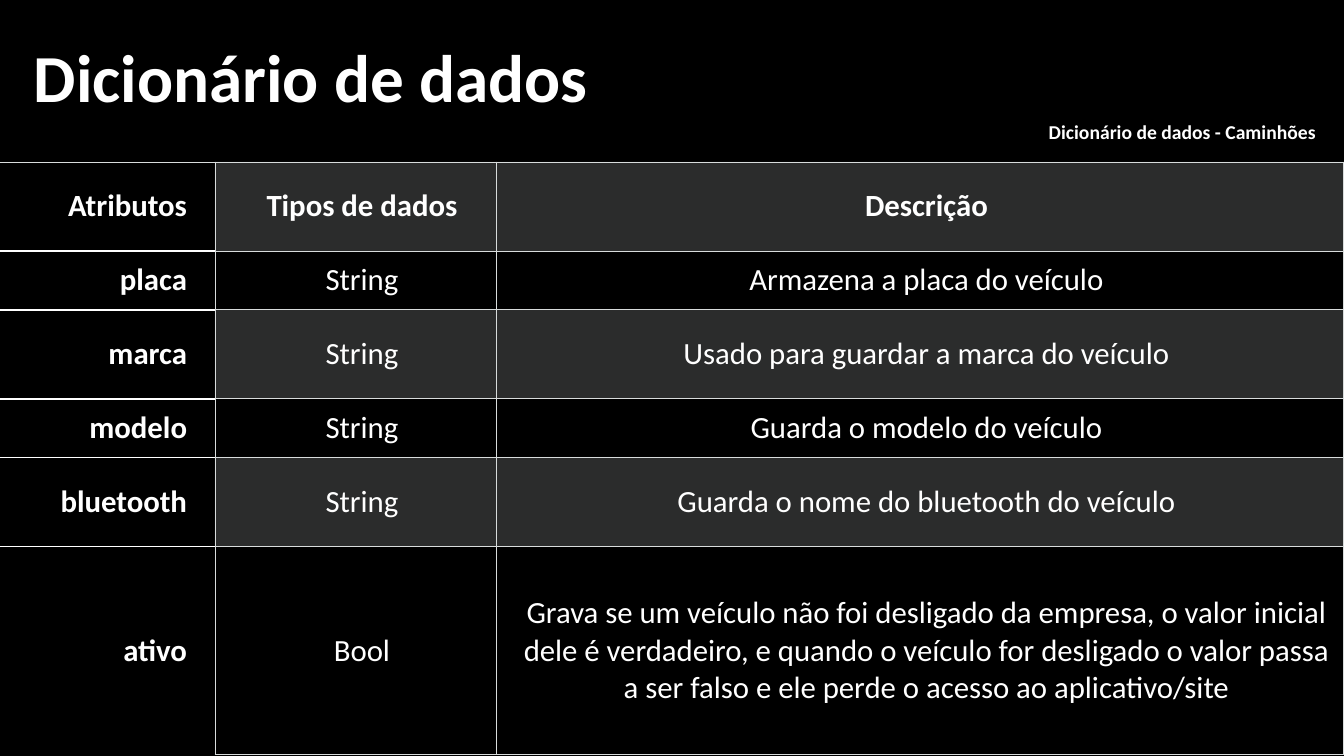
from lxml.etree import SubElement
from pptx import Presentation
from pptx.dml.color import RGBColor
from pptx.enum.text import MSO_ANCHOR, PP_ALIGN
from pptx.oxml.ns import qn
from pptx.util import Emu, Pt

SLIDE_WIDTH, SLIDE_HEIGHT = 1344, 756
COLORS = {
    "background": "000000",
    "text": "FFFFFF",
    "rule": "D8DCDC",
    "attribute_rule": "FFFFFF",
    "band": "D8DEDC",
}
BAND_OPACITY = 20
FONT = "Calibri"

TABLE_TOP = 104
COLUMN_WIDTHS = [215, 282, 847]
ROW_HEIGHTS = [58, 89, 59, 89, 59, 89, 208]
CAPTION = "Dicionário de dados - Caminhões"
ROWS = [
    ("Atributos", "Tipos de dados", "Descrição"),
    ("placa", "String", "Armazena a placa do veículo"),
    ("marca", "String", "Usado para guardar a marca do veículo"),
    ("modelo", "String", "Guarda o modelo do veículo"),
    ("bluetooth", "String", "Guarda o nome do bluetooth do veículo"),
    ("ativo", "Bool",
     "Grava se um veículo não foi desligado da empresa, o valor inicial dele é "
     "verdadeiro, e quando o veículo for desligado o valor passa a ser falso e "
     "ele perde o acesso ao aplicativo/site"),
]


def px(length):
    return Emu(round(length * 914400 / 100.8))


def color(name):
    return RGBColor.from_string(COLORS[name])


def write_text(frame, text, size, bold=False, align=PP_ALIGN.LEFT,
               space_after=0, line_spacing=1.0):
    frame.word_wrap = True
    paragraph = frame.paragraphs[0]
    paragraph.alignment = align
    paragraph.space_after = Pt(space_after)
    paragraph.line_spacing = line_spacing
    span = paragraph.add_run()
    span.text = text
    span.font.name = FONT
    span.font.size = Pt(size)
    span.font.bold = bold
    span.font.color.rgb = color("text")


def add_title(page, text):
    box = page.shapes.add_textbox(px(24), px(0), px(736), px(161))
    box.text_frame.vertical_anchor = MSO_ANCHOR.MIDDLE
    write_text(box.text_frame, text, size=48, bold=True, line_spacing=0.9)


def set_borders(cell, borders):
    """Draw the sides given as {side: (color name, points)} and hide the rest."""
    properties = cell._tc.get_or_add_tcPr()
    for side in "LRTB":
        line = SubElement(properties, qn(f"a:ln{side}"))
        if side not in borders:
            SubElement(line, qn("a:noFill"))
            continue
        name, width = borders[side]
        line.set("w", str(Pt(width)))
        fill = SubElement(line, qn("a:solidFill"))
        SubElement(fill, qn("a:srgbClr"), val=COLORS[name])


def set_band(cell, banded):
    if not banded:
        cell.fill.background()
        return
    cell.fill.solid()
    cell.fill.fore_color.rgb = color("band")
    shade = next(cell._tc.tcPr.find(qn("a:solidFill")).iter(qn("a:srgbClr")))
    SubElement(shade, qn("a:alpha"), val=str(BAND_OPACITY * 1000))


def format_cell(cell, text, borders, banded=False, margin_right=7, **text_format):
    set_borders(cell, borders)
    set_band(cell, banded)
    cell.vertical_anchor = MSO_ANCHOR.MIDDLE
    cell.margin_left, cell.margin_right = px(19), px(margin_right)
    cell.margin_top = cell.margin_bottom = px(9)
    write_text(cell.text_frame, text, space_after=10, **text_format)


def attribute_borders(is_first, is_last):
    rule, bright = ("rule", 0.75), ("attribute_rule", 1)
    borders = {"R": rule, "T": rule if is_first else bright}
    if not is_last:
        borders["B"] = bright
    return borders


def add_dictionary(page):
    frame = page.shapes.add_table(
        len(ROW_HEIGHTS), len(COLUMN_WIDTHS), px(0), px(TABLE_TOP),
        px(sum(COLUMN_WIDTHS)), px(sum(ROW_HEIGHTS)))
    table = frame.table
    table.first_row = table.horz_banding = False
    for column, width in zip(table.columns, COLUMN_WIDTHS):
        column.width = px(width)
    for row, height in zip(table.rows, ROW_HEIGHTS):
        row.height = px(height)

    rule = ("rule", 0.75)
    right_aligned = {"margin_right": 28, "align": PP_ALIGN.RIGHT, "bold": True}
    caption, *covered = table.rows[0].cells
    caption.merge(covered[-1])
    format_cell(caption, CAPTION, {"B": rule}, size=14, **right_aligned)
    for cell in covered:
        set_borders(cell, {"B": rule})
        set_band(cell, False)

    for index, texts in enumerate(ROWS):
        is_first, is_last = index == 0, index == len(ROWS) - 1
        attribute, *details = table.rows[index + 1].cells
        format_cell(attribute, texts[0], attribute_borders(is_first, is_last),
                    size=22, **right_aligned)
        for cell, text in zip(details, texts[1:]):
            format_cell(cell, text, dict.fromkeys("LRTB", rule),
                        banded=index % 2 == 0, size=22, bold=is_first,
                        align=PP_ALIGN.CENTER)


def main():
    deck = Presentation()
    deck.slide_width, deck.slide_height = px(SLIDE_WIDTH), px(SLIDE_HEIGHT)
    page = deck.slides.add_slide(deck.slide_layouts[6])
    page.background.fill.solid()
    page.background.fill.fore_color.rgb = color("background")
    add_title(page, "Dicionário de dados")
    add_dictionary(page)
    deck.save("out.pptx")


if __name__ == "__main__":
    main()
